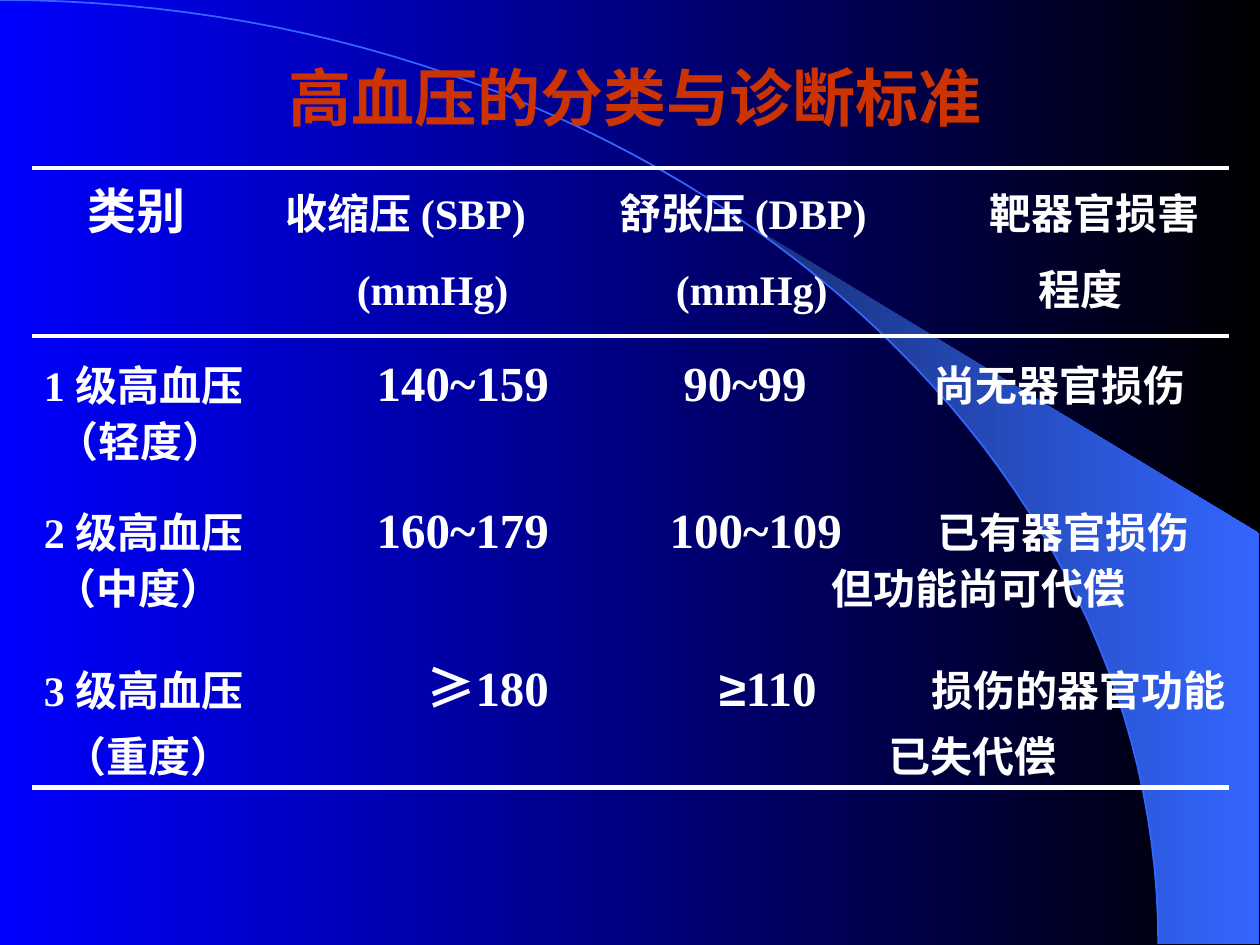
from pptx import Presentation
from pptx.dml.color import RGBColor
from pptx.enum.text import PP_ALIGN
from pptx.oxml.ns import qn
from pptx.util import Inches, Pt
from lxml.etree import SubElement

BLUE = RGBColor(0x00, 0x00, 0xFF)
BLACK = RGBColor(0x00, 0x00, 0x00)
NAVY = RGBColor(0x18, 0x2F, 0x76)
SKY = RGBColor(0x33, 0x66, 0xFF)
RED = RGBColor(0xCC, 0x33, 0x00)
WHITE = RGBColor(0xFF, 0xFF, 0xFF)
SERIF, SANS, CJK = "Times New Roman", "Arial", "Noto Sans CJK SC"
COLS, ROWS = 120, 90  # slide grid, 12 cells to the inch
INSET = 1.2           # left inset of a text box, in cells


def u(cells):
    return Inches(cells / 12)


def add_text(s, box, paragraphs, size=24, font=SERIF, color=WHITE,
             align=None, line_spacing=None):
    """Each paragraph is (runs, tabs); a run is (text, size, font), a tab (column, side)."""
    tf = s.shapes.add_textbox(*map(u, box)).text_frame
    tf.word_wrap = True
    for i, (runs, tabs) in enumerate(paragraphs):
        p = tf.paragraphs[0] if i == 0 else tf.add_paragraph()
        p.alignment, p.line_spacing = align, line_spacing
        if i:
            p.space_before = Pt(15)
        if tabs:
            tab_list = SubElement(p._p.get_or_add_pPr(), qn("a:tabLst"))
            for column, side in tabs:
                SubElement(tab_list, qn("a:tab"), algn=side,
                           pos=str(u(column - box[0] - INSET)))
        for text, *style in runs:
            r = p.add_run()
            r.text = text
            r.font.size = Pt(style[0] if style else size)
            r.font.name = style[1] if len(style) > 1 else font
            r.font.bold = True
            r.font.color.rgb = color
            SubElement(r._r.get_or_add_rPr(), qn("a:ea"), typeface=CJK)


def left_tabs(*columns):
    return [(c, "l") for c in columns]


def set_gradient(fill, start, end):
    fill.gradient()
    fill.gradient_angle = 0
    for stop, color in zip(fill.gradient_stops, (start, end)):
        stop.color.rgb = color


def arc_points(box, start=0, steps=60):
    """Points of the quarter-ellipse-like Bezier curve in a box, from parameter start to 1."""
    x, y, w, h = box
    points = []
    for i in range(steps + 1):
        t = start + (1 - start) * i / steps
        a, b, c = 3 * (1 - t) ** 2 * t, 3 * (1 - t) * t ** 2, t ** 3
        points.append((x + w * (0.55 * a + b + c), y + h * (0.45 * b + c)))
    return points


def add_outline(s, points, close):
    (x, y), *rest = [(u(px), u(py)) for px, py in points]
    builder = s.shapes.build_freeform(x, y)
    builder.add_line_segments(rest, close=close)
    sp = builder.convert_to_shape()
    sp.shadow.inherit = False
    return sp


def add_backdrop(s, box):
    set_gradient(s.background.fill, BLUE, BLACK)
    x, y, w, h = box
    arc = (x, y, w * 0.92, h)
    # Crescent between the arc and the right edge
    corners = [(x + w, y + h), (x + w, y + h * 0.565)]
    crescent = add_outline(s, arc_points(arc, start=0.44) + corners, close=True)
    set_gradient(crescent.fill, NAVY, SKY)
    crescent.line.fill.background()
    # Thin arc
    curve = add_outline(s, arc_points(arc), close=False)
    curve.fill.background()
    curve.line.color.rgb = SKY
    curve.line.width = Pt(1)


def add_rule(s, x, y, w):
    line = s.shapes.add_connector(1, u(x), u(y), u(x + w), u(y))
    line.line.color.rgb = WHITE
    line.line.width = Pt(2.5)
    SubElement(line._element.spPr, qn("a:effectLst"))


def add_header(s, box):
    add_text(s, box, [
        ([("\t类别", 28), ("\t收缩压 (SBP)\t舒张压 (DBP)\t靶器官损害",)],
         left_tabs(8.4, 27.2, 59, 94.3)),
        ([("\t(mmHg)\t(mmHg)\t程度",)], left_tabs(34, 64.4, 98.9)),
    ], line_spacing=0.95)


def add_grade(s, box, grade, sbp, dbp, damage, dbp_at, damage_at):
    """One grade line; systolic values end at a common column."""
    tabs = [(4.2, "l")] if box[0] < 3 else []
    tabs += [(52.3, "r"), (dbp_at, "l"), (damage_at, "l")]
    lead = "\t" if box[0] < 3 else ""
    runs = [(lead + grade + "\t",), *sbp, ("\t", 28), *dbp, ("\t" + damage,)]
    add_text(s, box, [(runs, tabs)])


def add_degree(s, box, degree, damage="", damage_at=0):
    """Second line of a grade: degree in brackets and the rest of the damage."""
    text = degree + ("\t" + damage if damage else "")
    add_text(s, box, [([(text,)], left_tabs(damage_at) if damage else [])])


def main():
    prs = Presentation()
    prs.slide_width, prs.slide_height = u(COLS), u(ROWS)
    s = prs.slides.add_slide(prs.slide_layouts[6])
    add_backdrop(s, (0, 0, COLS - 0.1, ROWS - 0.1))

    # Title and header
    add_text(s, (4, 5, 113, 8.4), [([("高血压的分类与诊断标准",)], [])],
             size=36, font=CJK, color=RED, align=PP_ALIGN.CENTER)
    add_header(s, (3, 17, 113, 13.6))

    # Grades of hypertension
    add_grade(s, (1, 33, 119, 6.8), "1 级高血压", [("140~159", 28)],
              [("90~99", 28)], "尚无器官损伤", 65.1, 88.9)
    add_degree(s, (4.2, 39, 18.8, 6), "（轻度）")
    add_grade(s, (3, 47, 117, 11.6), "2 级高血压", [("160~179", 28)],
              [("100~109", 28)], "已有器官损伤", 63.8, 89.3)
    add_degree(s, (4, 53, 112, 6), "（中度）", "但功能尚可代偿", 79.2)
    add_grade(s, (3, 62, 116, 11.6), "3 级高血压",
              [("≥", 28, SANS), ("180", 28)], [("≥", 28, SANS), ("110", 28)],
              "损伤的器官功能", 68.5, 88.7)
    add_degree(s, (5, 69, 112, 6), "（重度）", "已失代偿", 84.6)

    # Rules above and below the header, and at the foot
    for row in (16, 32, 75):
        add_rule(s, 3, row, 114)
    prs.save("out.pptx")


if __name__ == "__main__":
    main()
